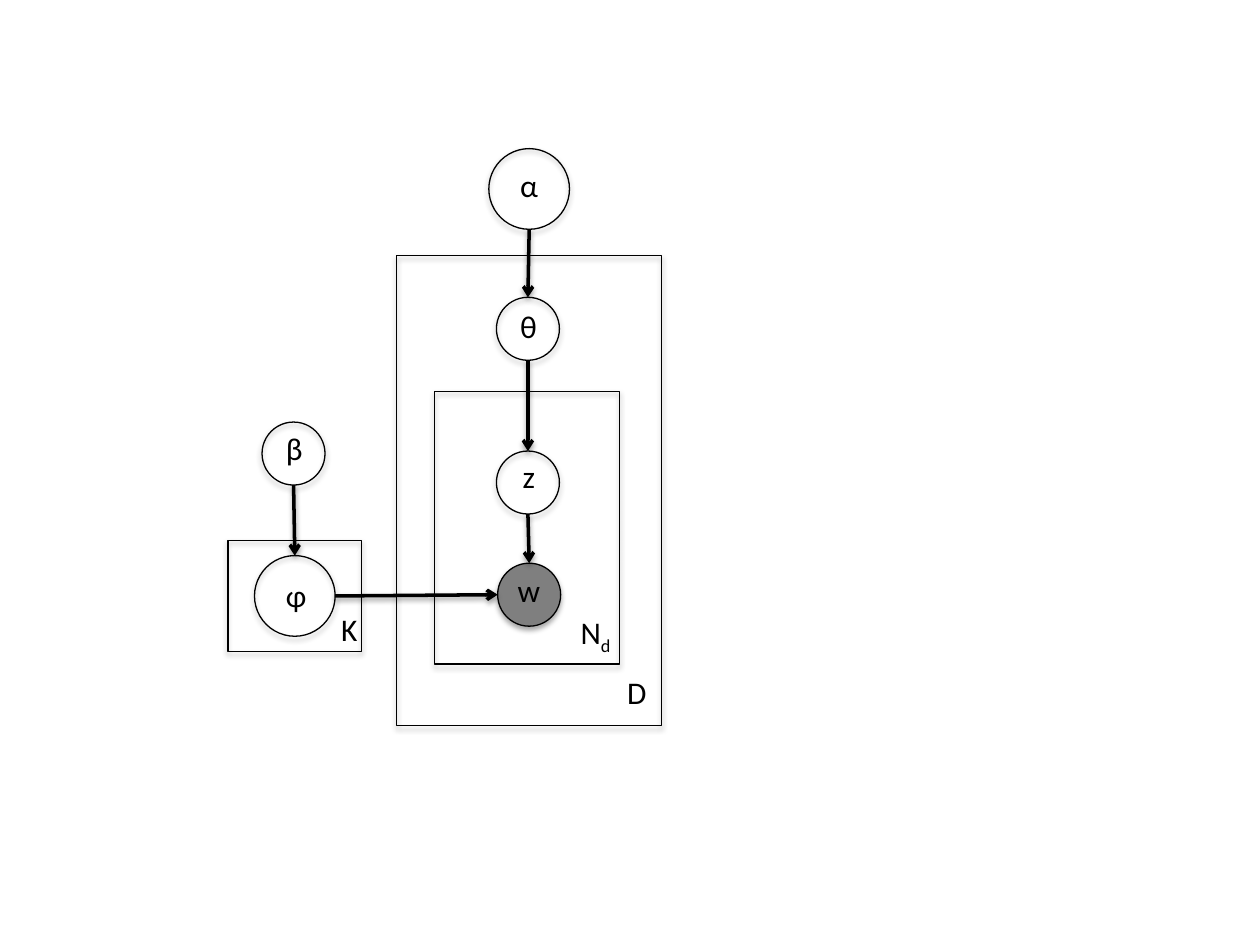
from dataclasses import dataclass

from lxml.etree import SubElement
from pptx import Presentation
from pptx.dml.color import RGBColor
from pptx.enum.shapes import MSO_CONNECTOR, MSO_SHAPE
from pptx.enum.text import MSO_AUTO_SIZE
from pptx.oxml.ns import qn
from pptx.util import Inches, Pt


@dataclass(frozen=True)
class Theme:
    ink: str = "000000"
    seen: str = "7F7F7F"
    font: str = "Calibri"
    size: float = 18
    thin: float = 0.75
    thick: float = 2
    blur: float = 3.1


@dataclass(frozen=True)
class Label:
    text: str
    left: float
    top: float
    width: float
    sub: str = ""


@dataclass(frozen=True)
class Plate:
    left: float
    top: float
    width: float
    height: float
    label: Label


@dataclass(frozen=True)
class Node:
    left: float
    top: float
    size: float
    label: Label
    fill: str = ""


@dataclass(frozen=True)
class Edge:
    start: str
    end: str
    across: bool = False


THEME = Theme()
TOP, LEFT, BOTTOM, RIGHT = 0, 2, 4, 6  # connection sites of an ellipse
SMALL, LARGE = 0.5, 0.64

PLATES = [
    Plate(3.45, 3.11, 1.47, 2.16, Label("N", 4.51, 4.82, 0.45, sub="d")),
    Plate(3.15, 2.03, 2.1, 3.73, Label("D", 4.88, 5.29, 0.36)),
    Plate(1.81, 4.29, 1.06, 0.88, Label("Κ", 2.61, 4.79, 0.33)),
]
NODES = [
    Node(3.88, 1.18, LARGE, Label("α", 4.03, 1.27, 0.35)),
    Node(3.94, 2.36, SMALL, Label("θ", 4.03, 2.39, 0.34)),
    Node(3.94, 3.58, SMALL, Label("z", 4.05, 3.58, 0.3)),
    Node(3.95, 4.47, SMALL, Label("w", 4.01, 4.48, 0.38), THEME.seen),
    Node(2.08, 3.35, SMALL, Label("β", 2.17, 3.36, 0.34)),
    Node(2.02, 4.41, LARGE, Label("φ", 2.17, 4.52, 0.37)),
]
EDGES = [
    Edge("β", "φ"),
    Edge("φ", "w", across=True),
    Edge("α", "θ"),
    Edge("θ", "z"),
    Edge("z", "w"),
]


def add_shadow(item, dist: float, alpha: int) -> None:
    """Put a soft shadow straight below a shape or connector."""
    effects = SubElement(item._element.spPr, qn("a:effectLst"))
    shadow = SubElement(
        effects, qn("a:outerShdw"), blurRad=str(Pt(THEME.blur)),
        dist=str(Pt(dist)), dir="5400000", rotWithShape="0",
    )
    color = SubElement(shadow, qn("a:srgbClr"), val=THEME.ink)
    SubElement(color, qn("a:alpha"), val=str(alpha * 1000))


def set_line(item, width: float) -> None:
    item.line.color.rgb = RGBColor.from_string(THEME.ink)
    item.line.width = Pt(width)


def add_outline(slide, kind: MSO_SHAPE, box: tuple, fill: str = ""):
    shape = slide.shapes.add_shape(kind, *map(Inches, box))
    if fill:
        shape.fill.solid()
        shape.fill.fore_color.rgb = RGBColor.from_string(fill)
    else:
        shape.fill.background()
    set_line(shape, THEME.thin)
    add_shadow(shape, 1.8, 35)
    return shape


def add_label(slide, label: Label) -> None:
    box = slide.shapes.add_textbox(
        Inches(label.left), Inches(label.top), Inches(label.width), Inches(0.4)
    )
    frame = box.text_frame
    frame.word_wrap = False
    frame.auto_size = MSO_AUTO_SIZE.SHAPE_TO_FIT_TEXT
    frame.text = label.text
    line = frame.paragraphs[0]
    if label.sub:
        run = line.add_run()
        run.text = label.sub
        run._r.get_or_add_rPr().set("baseline", "-25000")
    for run in line.runs:
        run.font.name = THEME.font
        run.font.size = Pt(THEME.size)
        run.font.color.rgb = RGBColor.from_string(THEME.ink)


def find_site(ring, site: int) -> tuple[int, int]:
    """Give the point of a connection site on a ring."""
    across = {LEFT: 0, RIGHT: ring.width}.get(site, ring.width // 2)
    down = {TOP: 0, BOTTOM: ring.height}.get(site, ring.height // 2)
    return ring.left + across, ring.top + down


def add_edge(slide, edge: Edge, rings: dict) -> None:
    start, end = rings[edge.start], rings[edge.end]
    leave, enter = (RIGHT, LEFT) if edge.across else (BOTTOM, TOP)
    arrow = slide.shapes.add_connector(
        MSO_CONNECTOR.STRAIGHT, *find_site(start, leave), *find_site(end, enter)
    )
    # The public connect methods only know the four sites of a rectangle.
    arrow._connect_begin_to(start, leave)
    arrow._connect_end_to(end, enter)
    set_line(arrow, THEME.thick)
    SubElement(arrow._element.spPr.find(qn("a:ln")), qn("a:tailEnd"), type="arrow")
    add_shadow(arrow, 1.6, 38)


def main() -> None:
    deck = Presentation()
    deck.slide_width, deck.slide_height = Inches(10), Inches(7.5)
    slide = deck.slides.add_slide(deck.slide_layouts[6])
    for plate in PLATES:
        box = plate.left, plate.top, plate.width, plate.height
        add_outline(slide, MSO_SHAPE.RECTANGLE, box)
    rings = {}
    for node in NODES:
        box = node.left, node.top, node.size, node.size
        rings[node.label.text] = add_outline(slide, MSO_SHAPE.OVAL, box, node.fill)
    for item in PLATES + NODES:
        add_label(slide, item.label)
    for edge in EDGES:
        add_edge(slide, edge, rings)
    deck.save("out.pptx")


if __name__ == "__main__":
    main()
